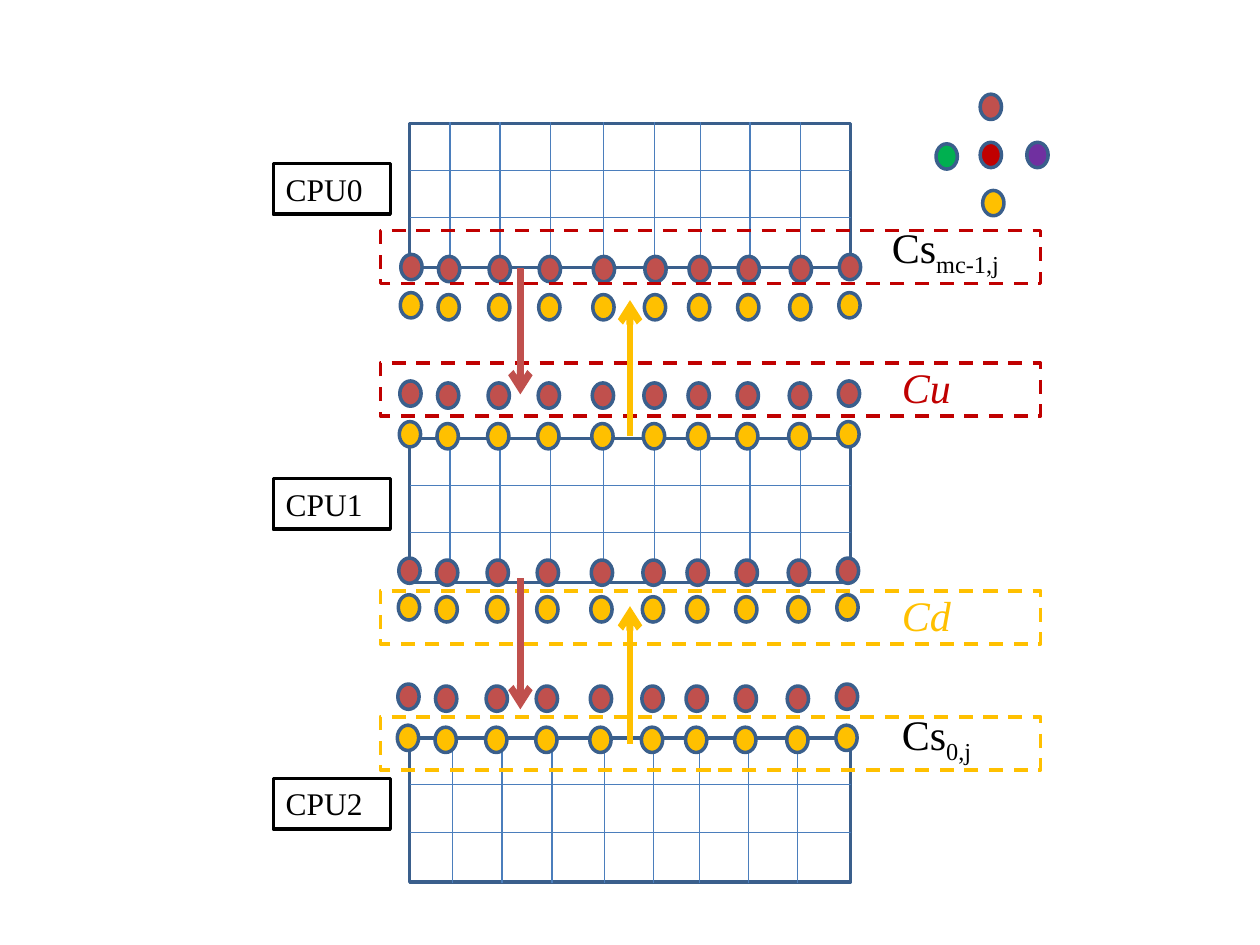
import dataclasses
import typing

import lxml.etree
import pptx
import pptx.dml.color
import pptx.enum.dml
import pptx.enum.shapes
import pptx.enum.text
import pptx.oxml.ns
import pptx.util

Cm = pptx.util.Cm
Pt = pptx.util.Pt
SHAPE = pptx.enum.shapes.MSO_SHAPE


@dataclasses.dataclass(frozen=True)
class Theme:
    font: str = "Times New Roman"
    label_size: int = 24
    cpu_size: int = 18
    outline: float = 2
    grid_line: float = 0.75
    arrow_line: float = 4
    black: str = "000000"
    border: str = "3A5F8C"
    grid: str = "4B7EBC"
    red: str = "C0504D"
    dark_red: str = "C00000"
    gold: str = "FFC000"
    green: str = "00B050"
    purple: str = "7030A0"


class Block(typing.NamedTuple):
    name: str
    top: float
    columns: tuple


class Dot(typing.NamedTuple):
    x: float
    y: float
    color: str


class Band(typing.NamedTuple):
    top: float
    color: str


class Label(typing.NamedTuple):
    x: float
    y: float
    text: str
    sub: str
    color: str
    italic: bool


class Arrow(typing.NamedTuple):
    x: float
    start: float
    end: float
    color: str


THEME = Theme()
GRID_LEFT, GRID_WIDTH, GRID_HEIGHT = 8.26, 8.89, 2.9
ROW_OFFSETS = (0.94, 1.9)
COLUMNS = (9.07, 10.08, 11.1, 12.17, 13.19, 14.12, 15.12, 16.13)
LAST_COLUMNS = (9.12, 10.12, 11.13, 12.19, 13.18, 14.1, 15.09, 16.08)
BLOCKS = (
    Block("CPU0", 2.49, COLUMNS),
    Block("CPU1", 8.84, COLUMNS),
    Block("CPU2", 14.88, LAST_COLUMNS),
)
DOT_XS = (8.08, 8.84, 9.86, 10.87, 11.96, 13, 13.89, 14.88, 15.93, 16.92)
DOT_ROWS = (5.13, 5.9, 7.68, 8.5, 11.25, 11.99, 13.79, 14.62)
STENCIL = (
    Dot(19.76, 1.9, THEME.red),
    Dot(20.7, 2.87, THEME.purple),
    Dot(19.81, 3.84, THEME.gold),
    Dot(18.87, 2.9, THEME.green),
    Dot(19.76, 2.87, THEME.dark_red),
)
BANDS = (
    Band(4.65, THEME.dark_red),
    Band(7.32, THEME.dark_red),
    Band(11.91, THEME.gold),
    Band(14.45, THEME.gold),
)
LABELS = (
    Label(17.73, 4.34, "Cs", "mc-1,j", THEME.black, False),
    Label(17.93, 7.16, "Cu", "", THEME.dark_red, True),
    Label(17.93, 11.76, "Cd", "", THEME.gold, True),
    Label(17.93, 14.15, "Cs", "0,j", THEME.black, False),
)
ARROWS = (
    Arrow(10.49, 5.41, 7.95, THEME.red),
    Arrow(10.49, 11.66, 14.3, THEME.red),
    Arrow(12.7, 8.79, 6.05, THEME.gold),
    Arrow(12.7, 14.99, 12.22, THEME.gold),
)


def rgb(color: str):
    return pptx.dml.color.RGBColor.from_string(color)


def apply(target, values: dict) -> None:
    for name, value in values.items():
        setattr(target, name, value)


def add_run(p, text: str, size: int, color: str, italic: bool = False):
    r = p.add_run()
    r.text = text
    apply(r.font, {"name": THEME.font, "size": Pt(size), "italic": italic})
    r.font.color.rgb = rgb(color)
    return r


def add_box(s, kind, x: float, y: float, w: float, h: float, line: str,
            fill: str = "", dash=None):
    sp = s.shapes.add_shape(kind, Cm(x), Cm(y), Cm(w), Cm(h))
    sp.shadow.inherit = False
    if fill:
        sp.fill.solid()
        sp.fill.fore_color.rgb = rgb(fill)
    else:
        sp.fill.background()
    sp.line.color.rgb = rgb(line)
    apply(sp.line, {"width": Pt(THEME.outline), "dash_style": dash})
    return sp


def add_line(s, x1: float, y1: float, x2: float, y2: float, color: str, width: float):
    kind = pptx.enum.shapes.MSO_CONNECTOR.STRAIGHT
    c = s.shapes.add_connector(kind, Cm(x1), Cm(y1), Cm(x2), Cm(y2))
    c.line.color.rgb = rgb(color)
    c.line.width = Pt(width)
    lxml.etree.SubElement(c._element.spPr, pptx.oxml.ns.qn("a:effectLst"))
    return c


def draw_block(s, block: Block) -> None:
    add_box(s, SHAPE.RECTANGLE, GRID_LEFT, block.top, GRID_WIDTH, GRID_HEIGHT, THEME.border)
    for dy in ROW_OFFSETS:
        y = block.top + dy
        add_line(s, GRID_LEFT, y, GRID_LEFT + GRID_WIDTH, y, THEME.grid, THEME.grid_line)
    for x in block.columns:
        add_line(s, x, block.top - 0.03, x, block.top + 2.92, THEME.grid, THEME.grid_line)
    sp = add_box(s, SHAPE.RECTANGLE, 5.51, block.top + 0.81, 2.36, 1.02, THEME.black)
    apply(sp.text_frame, {"word_wrap": True,
                          "vertical_anchor": pptx.enum.text.MSO_ANCHOR.TOP})
    p = sp.text_frame.paragraphs[0]
    p.alignment = pptx.enum.text.PP_ALIGN.LEFT
    add_run(p, block.name, THEME.cpu_size, THEME.black)


def draw_dot(s, dot: Dot) -> None:
    add_box(s, SHAPE.OVAL, dot.x, dot.y, 0.43, 0.51, THEME.border, dot.color)


def draw_dot_row(s, index: int, top: float) -> None:
    color = (THEME.red, THEME.gold)[index % 2]
    for x in DOT_XS:
        sag = 0 if x in (DOT_XS[0], DOT_XS[-1]) else 0.04
        draw_dot(s, Dot(x - 0.01 * index, top + sag, color))


def draw_band(s, band: Band) -> None:
    add_box(s, SHAPE.RECTANGLE, 7.67, band.top, 13.31, 1.07, band.color,
            dash=pptx.enum.dml.MSO_LINE.DASH)


def draw_label(s, label: Label) -> None:
    tf = s.shapes.add_textbox(Cm(label.x), Cm(label.y), Cm(3), Cm(1.27)).text_frame
    tf.word_wrap = True
    p = tf.paragraphs[0]
    add_run(p, label.text, THEME.label_size, label.color, label.italic)
    if label.sub:
        r = add_run(p, label.sub, THEME.label_size, label.color)
        r._r.get_or_add_rPr().set("baseline", "-25000")


def draw_arrow(s, arrow: Arrow) -> None:
    c = add_line(s, arrow.x, arrow.start, arrow.x, arrow.end, arrow.color, THEME.arrow_line)
    ln = c.line._get_or_add_ln()
    lxml.etree.SubElement(ln, pptx.oxml.ns.qn("a:tailEnd"), type="arrow")


def main() -> None:
    prs = pptx.Presentation()
    apply(prs, {"slide_width": Cm(25.4), "slide_height": Cm(19.05)})
    s = prs.slides.add_slide(prs.slide_layouts[6])
    for draw, items in ((draw_label, LABELS), (draw_block, BLOCKS), (draw_dot, STENCIL)):
        for item in items:
            draw(s, item)
    for index, top in enumerate(DOT_ROWS):
        draw_dot_row(s, index, top)
    for draw, items in ((draw_band, BANDS), (draw_arrow, ARROWS)):
        for item in items:
            draw(s, item)
    prs.save("out.pptx")


if __name__ == "__main__":
    main()
